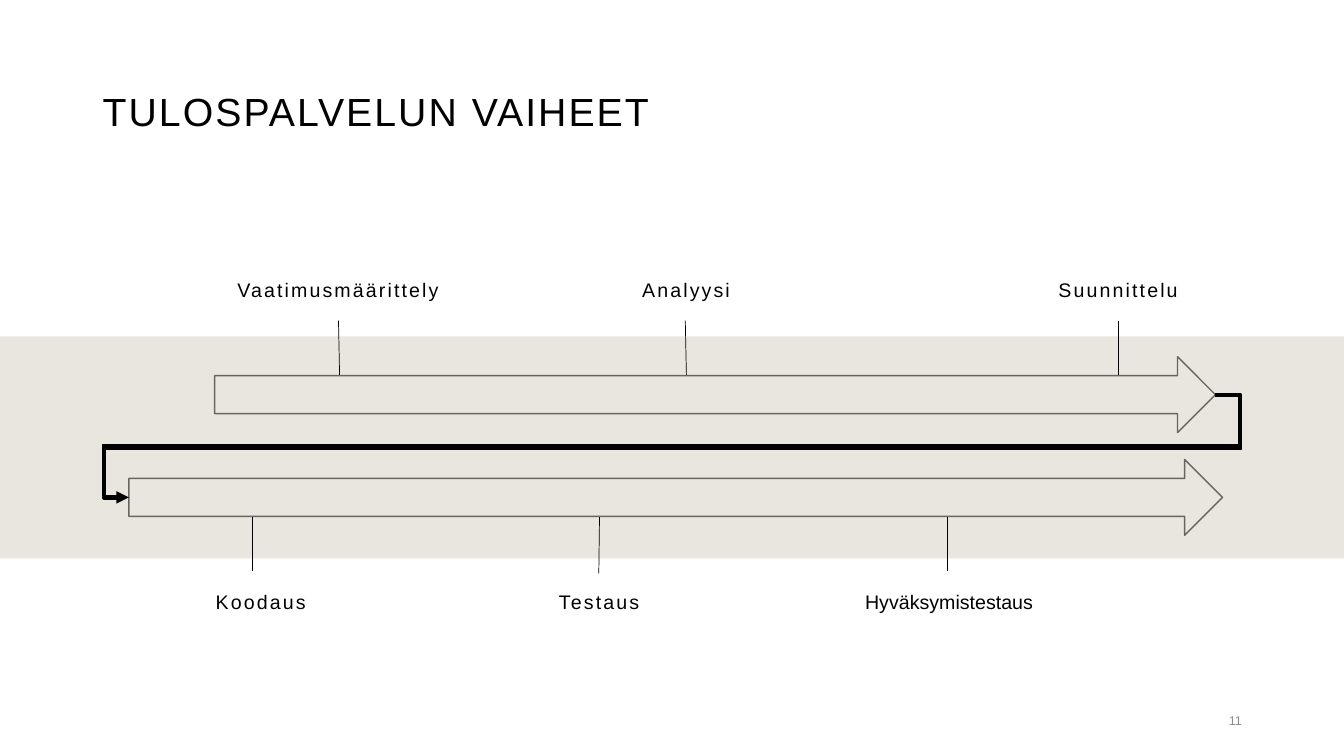
from lxml import etree
from pptx import Presentation
from pptx import util as u
from pptx.dml.color import RGBColor
from pptx.enum import shapes, text
from pptx.oxml.ns import qn

COLORS = {"ink": "000000", "band": "E9E6DF", "outline": "666562", "number": "8C8C8C"}
FONT = "Arial"
TITLE = "TULOSPALVELUN VAIHEET"
PAGE_NUMBER = "11"

# All lengths are in centimetres.
SLIDE_SIZE = (33.87, 19.05)
BAND = (0, 8.48, 33.87, 5.59)
BAR = (2.59, 11.2, 28.7, 0.13)
PHASE_ARROWS = [(5.41, 8.99, 25.22, 1.91), (3.25, 11.58, 27.56, 1.91)]
LABEL_HEIGHT = 1.55

# Each phase: name, label left, label width, letter spacing, tick start x, tick end x, tick end y
PHASE_ROWS = [
    {"label_top": 6.17, "anchor": text.MSO_ANCHOR.BOTTOM, "tick_top": 8.08, "phases": [
        ("Vaatimusmäärittely", 5.66, 5.72, 1.5, 8.53, 8.56, 9.55),
        ("Analyysi", 14.43, 5.72, 1.5, 17.27, 17.3, 9.55),
        ("Suunnittelu", 25.32, 5.72, 1.5, 28.19, 28.19, 9.55)]},
    {"label_top": 14.45, "anchor": text.MSO_ANCHOR.TOP, "tick_top": 12.88, "phases": [
        ("Koodaus", 3.51, 6.12, 1.5, 6.35, 6.35, 14.38),
        ("Testaus", 12.24, 5.72, 1.5, 15.11, 15.09, 14.45),
        ("Hyväksymistestaus", 21.06, 5.72, 0, 23.88, 23.88, 14.38)]},
]


def cm(values):
    return [u.Cm(value) for value in values]


def color(name):
    return RGBColor.from_string(COLORS[name])


def add_block(page, kind, area, fill, outline=None):
    block = page.shapes.add_shape(kind, *cm(area))
    block.shadow.inherit = False
    block.fill.solid()
    block.fill.fore_color.rgb = color(fill)
    if outline:
        block.line.color.rgb = color(outline)
        block.line.width = u.Pt(1)
    else:
        block.line.fill.background()


def add_text(page, words, area, size, anchor, align, ink="ink", tracking=0,
             line_spacing=1.0, before=0):
    """Add a one-line text box; tracking is the letter spacing in points."""
    box = page.shapes.add_textbox(*cm(area))
    frame = box.text_frame
    frame.word_wrap = True
    frame.vertical_anchor = anchor
    para = frame.paragraphs[0]
    para.alignment = align
    para.line_spacing = line_spacing
    para.space_before = u.Pt(before)
    span = para.add_run()
    span.text = words
    span.font.name = FONT
    span.font.size = u.Pt(size)
    span.font.color.rgb = color(ink)
    if tracking:
        for props in box.element.iter(qn("a:rPr")):
            props.set("spc", str(round(tracking * 100)))


def add_line(page, kind, ends, width):
    line = page.shapes.add_connector(kind, *cm(ends))
    line.line.color.rgb = color("ink")
    line.line.width = u.Pt(width)
    etree.SubElement(line.element.spPr, qn("a:effectLst"))
    return line


def add_return_arrow(page, upper, lower, overshoot=2300):
    """Lead from the tip of the upper arrow around to the start of the lower one."""
    tip = (upper[0] + upper[2], upper[1] + upper[3] / 2)
    start = (lower[0], lower[1] + lower[3] / 2)
    line = add_line(page, shapes.MSO_CONNECTOR.ELBOW, (*tip, *start), 3)
    geometry = line.element.spPr.find(qn("a:prstGeom"))
    geometry.set("prst", "bentConnector5")
    guides = geometry.find(qn("a:avLst"))
    if guides is None:
        guides = etree.SubElement(geometry, qn("a:avLst"))
    for number, value in enumerate((-overshoot, 50000, 100000 + overshoot), 1):
        etree.SubElement(guides, qn("a:gd"), name=f"adj{number}", fmla=f"val {value}")
    outline = line.element.spPr.find(qn("a:ln"))
    etree.SubElement(outline, qn("a:tailEnd"), type="triangle")


def main():
    deck = Presentation()
    deck.slide_width, deck.slide_height = cm(SLIDE_SIZE)
    page = deck.slides.add_slide(deck.slide_layouts[6])
    middle = text.MSO_ANCHOR.MIDDLE

    add_block(page, shapes.MSO_SHAPE.RECTANGLE, BAND, "band")
    add_block(page, shapes.MSO_SHAPE.RECTANGLE, BAR, "ink", "ink")
    add_text(page, TITLE, (2.34, 1.02, 29.21, 3.68), 28, middle,
             text.PP_ALIGN.LEFT, tracking=1.5, line_spacing=0.9)

    for row in PHASE_ROWS:
        for name, left, width, tracking, start_x, end_x, end_y in row["phases"]:
            add_text(page, name, (left, row["label_top"], width, LABEL_HEIGHT), 14,
                     row["anchor"], text.PP_ALIGN.CENTER, tracking=tracking,
                     line_spacing=1.5, before=10)
            add_line(page, shapes.MSO_CONNECTOR.STRAIGHT,
                     (start_x, row["tick_top"], end_x, end_y), 0.5)

    add_text(page, PAGE_NUMBER, (23.93, 17.65, 7.62, 1.02), 9, middle,
             text.PP_ALIGN.RIGHT, ink="number")
    for area in PHASE_ARROWS:
        add_block(page, shapes.MSO_SHAPE.RIGHT_ARROW, area, "band", "outline")
    add_return_arrow(page, *PHASE_ARROWS)

    deck.save("out.pptx")


if __name__ == "__main__":
    main()
